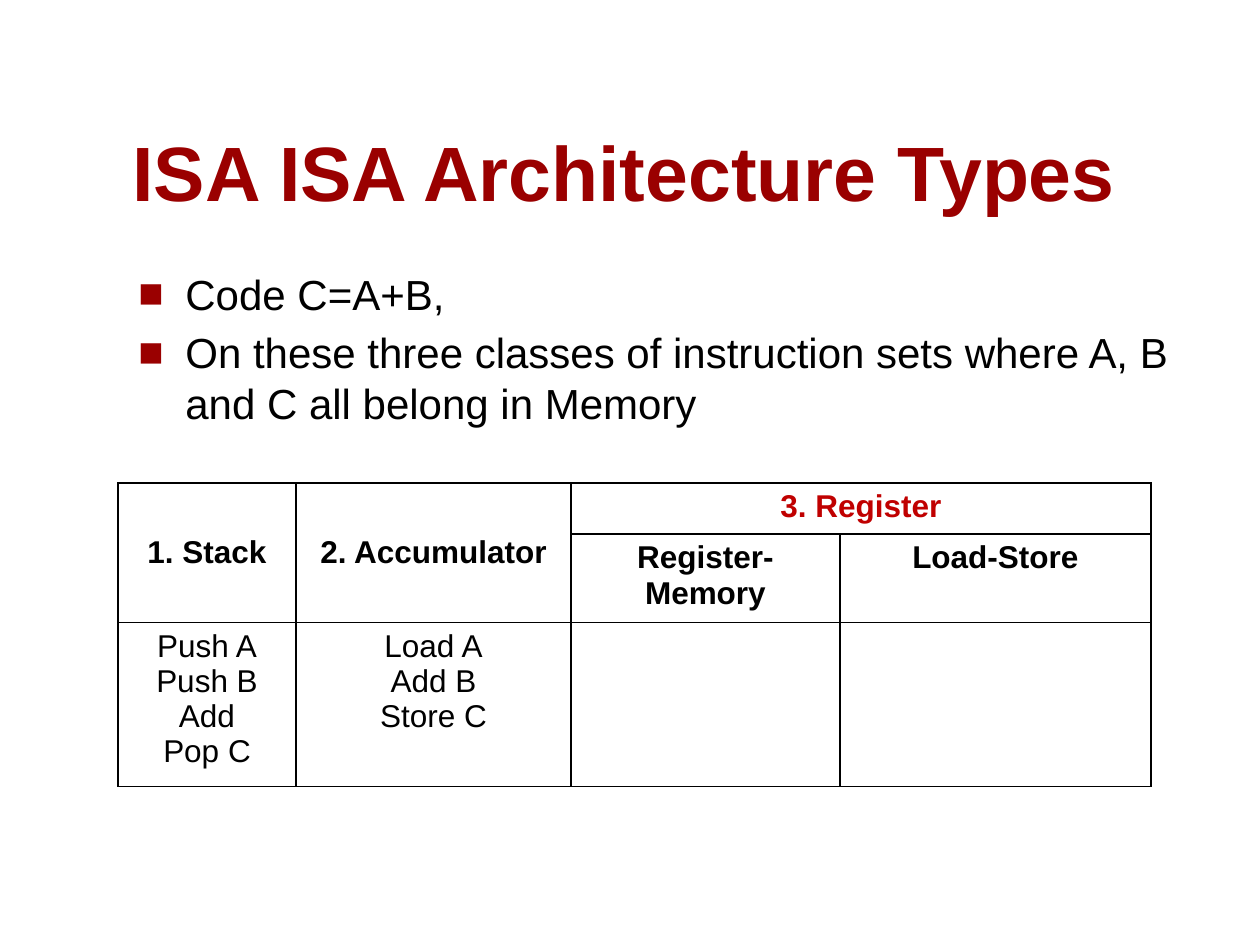
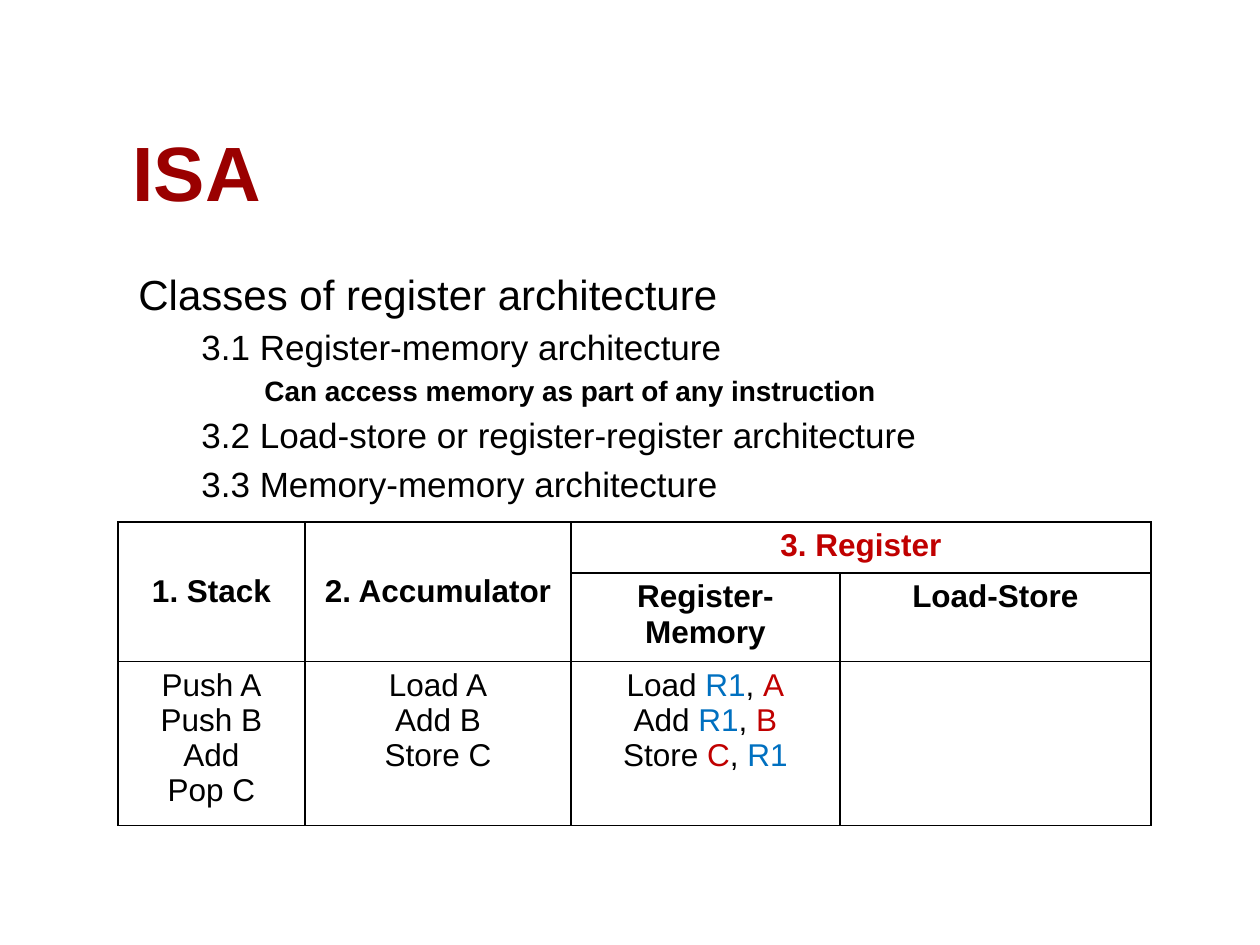
"""Build two slides on instruction set architecture types."""
from lxml import etree
from pptx import Presentation
from pptx import util as u
from pptx.dml import color
from pptx.enum import text
from pptx.oxml import ns

PX_PER_INCH = 126
FONT = "Arial"
DARK_RED, RED, BLUE, BLACK = "9A0000", "C00000", "0070C0", "000000"
TITLE = dict(size=44, bold=True, color=DARK_RED)
HEAD = dict(size=18, bold=True, color=BLACK)
CODE = dict(size=18, bold=False, color=BLACK)
LEVELS = [
    dict(size=24, bold=False, color=BLACK),
    dict(size=20, bold=False, color=BLACK),
    dict(size=16, bold=True, color=BLACK),
]
INDENTS = [(47, 47), (102, 39), (158, 32)]
ROWS = [51, 88, 164]


def px(n):
    return u.Emu(round(n * u.Inches(1) / PX_PER_INCH))


def rgb(value):
    return color.RGBColor.from_string(value)


def add_xml(parent, tag, **attrs):
    return etree.SubElement(parent, ns.qn(tag), attrs)


class Deck:
    def __init__(self):
        self.prs = Presentation()
        self.prs.slide_width, self.prs.slide_height = px(1260), px(945)
        self.s = None

    def run(self, p, words, style):
        r = p.add_run()
        r.text = words
        values = dict(style, name=FONT, size=u.Pt(style["size"]))
        r.font.color.rgb = rgb(values.pop("color"))
        for name, value in values.items():
            setattr(r.font, name, value)

    def place(self, sp, *box):
        for name, n in zip(("left", "top", "width", "height"), box):
            setattr(sp, name, px(n))

    def slide(self, title):
        self.s = self.prs.slides.add_slide(self.prs.slide_layouts[5])
        sp = self.s.shapes.title
        self.place(sp, 120, 118, 1125, 105)
        tf = sp.text_frame
        frame = dict(word_wrap=True, auto_size=text.MSO_AUTO_SIZE.NONE,
                     vertical_anchor=text.MSO_ANCHOR.BOTTOM)
        for name, value in frame.items():
            setattr(tf, name, value)
        p = tf.paragraphs[0]
        p.alignment = text.PP_ALIGN.LEFT
        self.run(p, title, TITLE)

    def body(self, lines, bullet=None):
        sp = self.s.shapes.add_textbox(*map(px, (126, 262, 1118, 577)))
        tf = sp.text_frame
        tf.word_wrap = True
        for i, (level, words) in enumerate(lines):
            p = tf.add_paragraph() if i else tf.paragraphs[0]
            style = LEVELS[level]
            p.level = level
            p.space_before = u.Pt(style["size"] / 5 if i else 0)
            margin, hang = INDENTS[level]
            pPr = p._p.get_or_add_pPr()
            pPr.set("marL", str(px(margin)))
            pPr.set("indent", str(-px(hang)))
            if bullet:
                clr = add_xml(pPr, "a:buClr")
                add_xml(clr, "a:srgbClr", val=DARK_RED)
                add_xml(pPr, "a:buFont", typeface=FONT)
                add_xml(pPr, "a:buChar", char=bullet)
            self.run(p, words, style)

    def borders(self, cell):
        tcPr = cell._tc.get_or_add_tcPr()
        for side in "LRTB":
            ln = add_xml(tcPr, f"a:ln{side}", w=str(u.Pt(1)))
            fill = add_xml(ln, "a:solidFill")
            add_xml(fill, "a:srgbClr", val=BLACK)

    def cell(self, cell, lines, style):
        for i, line in enumerate(lines):
            tf = cell.text_frame
            p = tf.add_paragraph() if i else tf.paragraphs[0]
            p.alignment = text.PP_ALIGN.CENTER
            for words, colour in line:
                self.run(p, words, dict(style, color=colour))

    def table(self, top, cols, codes):
        box = map(px, (118, top, sum(cols), sum(ROWS)))
        tbl = self.s.shapes.add_table(len(ROWS), len(cols), *box).table
        tbl.first_row = tbl.horz_banding = False
        for col, n in zip(tbl.columns, cols):
            col.width = px(n)
        for row, n in zip(tbl.rows, ROWS):
            row.height = px(n)
        for cell in tbl.iter_cells():
            self.borders(cell)
            cell.fill.background()
        for c in (0, 1):
            tbl.cell(0, c).merge(tbl.cell(1, c))
            tbl.cell(0, c).vertical_anchor = text.MSO_ANCHOR.MIDDLE
        tbl.cell(0, 2).merge(tbl.cell(0, 3))
        heads = [(0, 0, "1. Stack", BLACK), (0, 1, "2. Accumulator", BLACK),
                 (0, 2, "3. Register", RED), (1, 2, "Register-Memory", BLACK),
                 (1, 3, "Load-Store", BLACK)]
        for r, c, words, colour in heads:
            self.cell(tbl.cell(r, c), [[(words, colour)]], HEAD)
        for c, lines in enumerate(codes):
            self.cell(tbl.cell(2, c), lines, CODE)


def plain(*lines):
    return [[(line, BLACK)] for line in lines]


def operands(op, *names):
    first, second = [(n, BLUE if n == "R1" else RED) for n in names]
    return [(op + " ", BLACK), first, (", ", BLACK), second]


def main():
    deck = Deck()
    stack = plain("Push A", "Push B", "Add", "Pop C")
    accumulator = plain("Load A", "Add B", "Store C")
    register_memory = [operands("Load", "R1", "A"),
                       operands("Add", "R1", "B"),
                       operands("Store", "C", "R1")]

    deck.slide("ISA ISA Architecture Types")
    deck.body([
        (0, "Code C=A+B,"),
        (0, "On these three classes of instruction sets where A, B "
            "and C all belong in Memory"),
    ], bullet="■")
    deck.table(483, [178, 275, 269, 311], [stack, accumulator])

    deck.slide("ISA")
    deck.body([
        (0, "Classes of register architecture"),
        (1, "3.1 Register-memory architecture"),
        (2, "Can access memory as part of any instruction"),
        (1, "3.2 Load-store or register-register architecture"),
        (1, "3.3 Memory-memory architecture"),
    ])
    deck.table(522, [187, 266, 269, 311],
               [stack, accumulator, register_memory])
    deck.prs.save("out.pptx")


if __name__ == "__main__":
    main()
